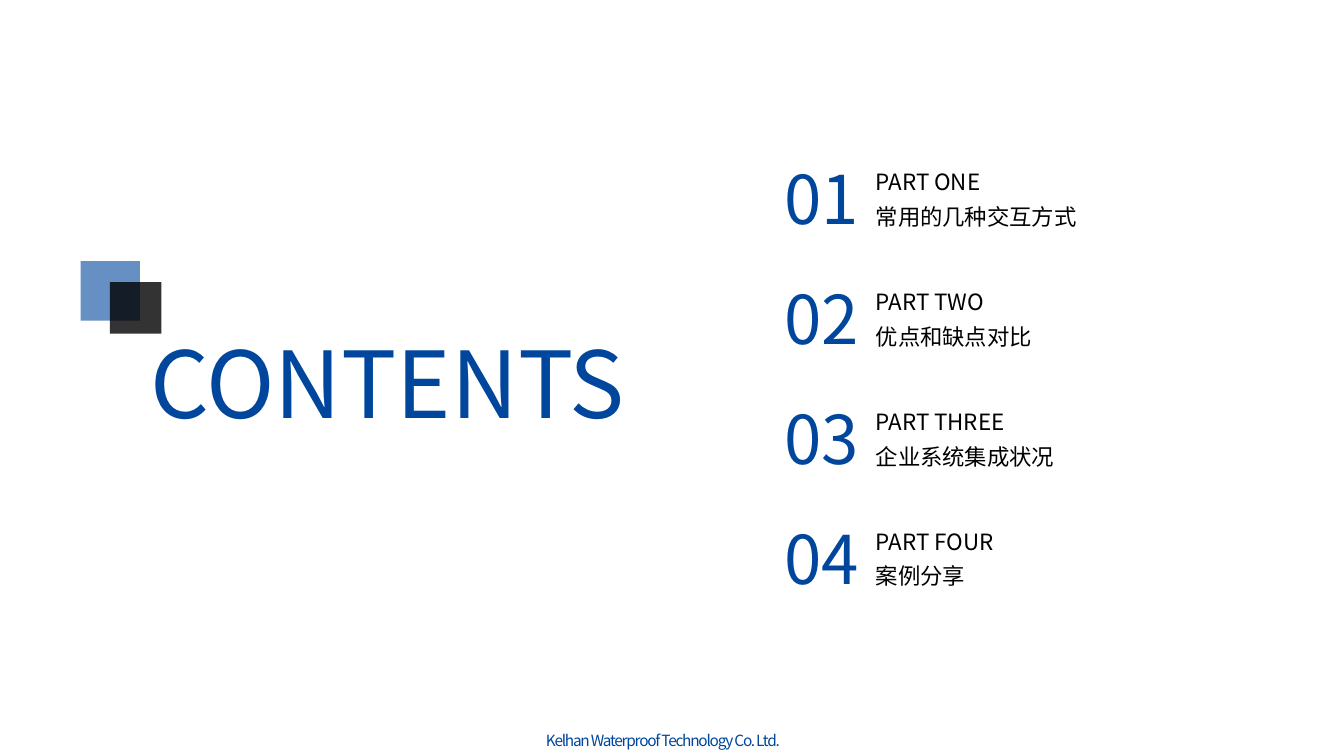
from dataclasses import dataclass

from lxml.etree import SubElement
from pptx import Presentation
from pptx.dml.color import RGBColor
from pptx.enum.shapes import MSO_SHAPE as Shape
from pptx.enum.text import MSO_ANCHOR as Anchor, MSO_AUTO_SIZE as AutoSize, PP_ALIGN as Align
from pptx.oxml.ns import qn
from pptx.util import Cm, Pt

FONT = "Noto Sans CJK SC"
COLORS = {"blue": "00469C", "black": "000000"}
FIRST_TOP = 3.84
PART_STEP = 3.02


@dataclass(frozen=True)
class Square:
    left: float
    top: float
    side: float
    color: str
    opacity: int


@dataclass(frozen=True)
class Part:
    label: str
    topic: str


SQUARES = [
    Square(2.03, 6.58, 1.5, "blue", 60),
    Square(2.77, 7.11, 1.3, "black", 80),
]
PARTS = [
    Part("PART ONE", "常用的几种交互方式"),
    Part("PART TWO", "优点和缺点对比"),
    Part("PART THREE", "企业系统集成状况"),
    Part("PART FOUR", "案例分享"),
]


def place(shape, left: float, top: float, width: float, height: float) -> None:
    shape.left, shape.top = Cm(left), Cm(top)
    shape.width, shape.height = Cm(width), Cm(height)


def write(shape, lines: list[str], size: int, color: str,
          line_spacing: float = 1.0, tracking: float = 0) -> None:
    frame = shape.text_frame
    frame.text = "\n".join(lines)
    frame.word_wrap = True
    frame.auto_size = AutoSize.NONE
    frame.vertical_anchor = Anchor.TOP
    for paragraph in frame.paragraphs:
        paragraph.alignment = Align.LEFT
        paragraph.line_spacing = line_spacing
        font = paragraph.font
        font.size = Pt(size)
        font.name = FONT
        font.color.rgb = RGBColor.from_string(COLORS[color])
        properties = paragraph._p.pPr.find(qn("a:defRPr"))
        SubElement(properties, qn("a:ea"), typeface=FONT)
        if tracking:
            properties.set("spc", str(round(tracking * 100)))


def add_text(slide, left: float, top: float, width: float, height: float,
             lines: list[str], size: int, color: str,
             line_spacing: float = 1.0, tracking: float = 0) -> None:
    box = slide.shapes.add_textbox(Cm(left), Cm(top), Cm(width), Cm(height))
    write(box, lines, size, color, line_spacing, tracking)


def add_square(slide, square: Square) -> None:
    shape = slide.shapes.add_shape(Shape.RECTANGLE, Cm(square.left), Cm(square.top),
                                   Cm(square.side), Cm(square.side))
    shape.shadow.inherit = False
    shape.line.fill.background()
    shape.fill.solid()
    shape.fill.fore_color.rgb = RGBColor.from_string(COLORS[square.color])
    color = shape._element.spPr.find(qn("a:solidFill"))[0]
    SubElement(color, qn("a:alpha"), val=str(square.opacity * 1000))


def add_part(slide, index: int, part: Part) -> None:
    top = FIRST_TOP + index * PART_STEP
    add_text(slide, 21.82, top + 0.07, 6, 2.03, [part.label, part.topic], 16, "black", 1.3)
    add_text(slide, 19.51, top, 2.6, 2.31, [f"{index + 1:02}"], 48, "blue")


def main() -> None:
    presentation = Presentation()
    presentation.slide_width, presentation.slide_height = Cm(33.87), Cm(19.05)
    slide = presentation.slides.add_slide(presentation.slide_layouts[5])

    title = slide.shapes.title
    place(title, 3.53, 8.08, 13.13, 3.07)
    write(title, ["CONTENTS"], 66, "blue")

    for square in SQUARES:
        add_square(slide, square)
    for index, part in enumerate(PARTS):
        add_part(slide, index, part)
    add_text(slide, 13.51, 18.31, 7, 0.74, ["Kelhan Waterproof Technology Co. Ltd."],
             11, "blue", tracking=-0.9)

    presentation.save("out.pptx")


if __name__ == "__main__":
    main()
